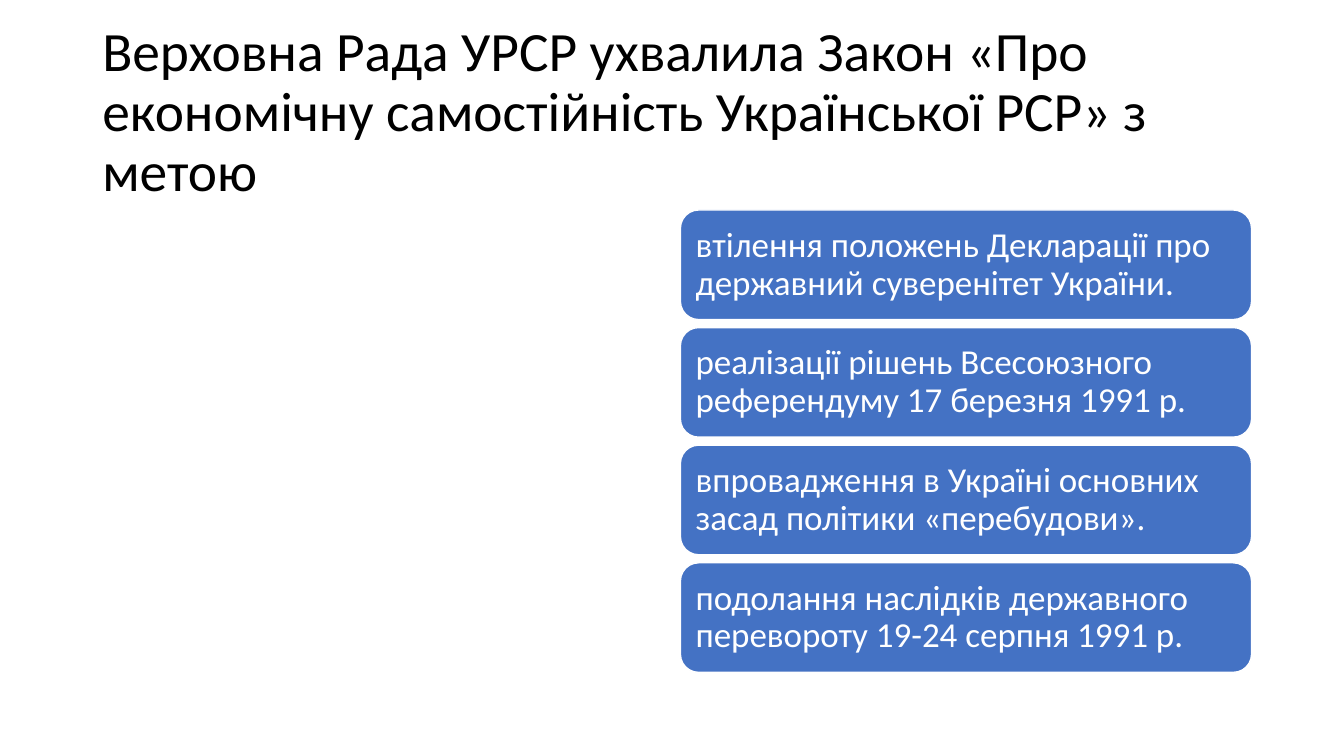
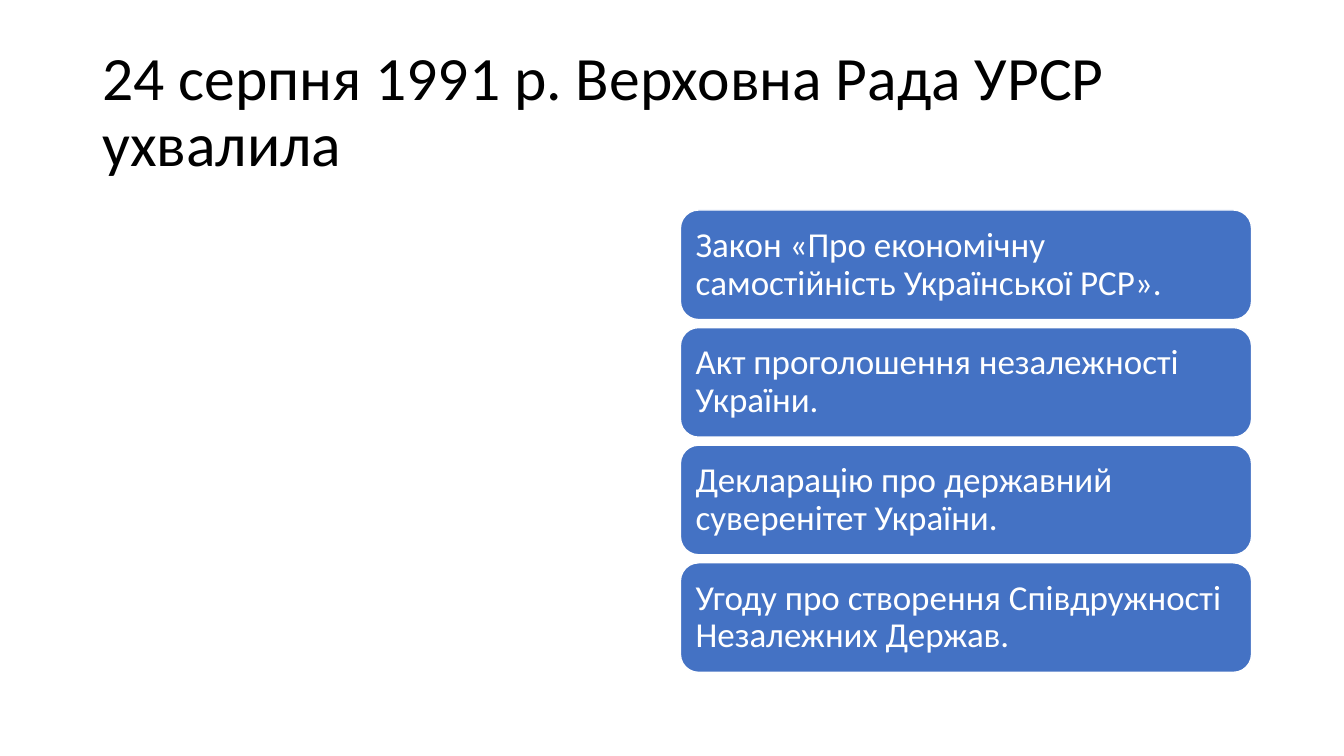
"""Builds two slides, each with a title and a column of answer cards."""
from pptx import Presentation
from pptx.dml.color import RGBColor
from pptx.enum.shapes import MSO_SHAPE
from pptx.enum.text import MSO_ANCHOR, PP_ALIGN
from pptx.util import Pt

SLIDES = [
    {
        "title": "Верховна Рада УРСР ухвалила Закон «Про економічну самостійність Української РСР» з метою",
        "title_size": 39.6,
        "answers": [
            "втілення положень Декларації про державний суверенітет України.",
            "реалізації рішень Всесоюзного референдуму 17 березня 1991 р.",
            "впровадження в Україні основних засад політики «перебудови».",
            "подолання наслідків державного перевороту 19-24 серпня 1991 р.",
        ],
    },
    {
        "title": "24 серпня 1991 р. Верховна Рада УРСР ухвалила",
        "title_size": 44,
        "answers": [
            "Закон «Про економічну самостійність Української РСР».",
            "Акт проголошення незалежності України.",
            "Декларацію про державний суверенітет України.",
            "Угоду про створення Співдружності Незалежних Держав.",
        ],
    },
]

FONT = "Calibri"
BLACK, WHITE, BLUE = "000000", "FFFFFF", "4472C4"
TITLE_BOX = (66, 28.75, 828, 104.4)
CARD_LEFT, CARD_TOP, CARD_WIDTH, CARD_HEIGHT = 486, 150, 408, 78.3
CARD_PITCH = 84
ANSWER_SIZE = 25


def color(value):
    return RGBColor.from_string(value)


def write(shape, text, size, text_color):
    frame = shape.text_frame
    frame.text = text
    frame.word_wrap = True
    frame.vertical_anchor = MSO_ANCHOR.MIDDLE
    paragraph = frame.paragraphs[0]
    paragraph.alignment = PP_ALIGN.LEFT
    paragraph.line_spacing = 0.9
    font = paragraph.runs[0].font
    font.name = FONT
    font.size = Pt(size)
    font.color.rgb = color(text_color)
    return frame


def add_title(slide, text, size):
    title = slide.shapes.add_textbox(*map(Pt, TITLE_BOX))
    write(title, text, size, BLACK)


def add_card(slide, row, answer):
    box = (CARD_LEFT, CARD_TOP + row * CARD_PITCH, CARD_WIDTH, CARD_HEIGHT)
    card = slide.shapes.add_shape(MSO_SHAPE.ROUNDED_RECTANGLE, *map(Pt, box))
    card.shadow.inherit = False
    card.fill.solid()
    card.fill.fore_color.rgb = color(BLUE)
    card.line.color.rgb = color(WHITE)
    card.line.width = Pt(1)
    frame = write(card, answer, ANSWER_SIZE, WHITE)
    frame.margin_left = frame.margin_right = Pt(7.2)
    frame.margin_top = frame.margin_bottom = Pt(7.2)


def main():
    deck = Presentation()
    deck.slide_width, deck.slide_height = Pt(960), Pt(540)
    for content in SLIDES:
        slide = deck.slides.add_slide(deck.slide_layouts[6])
        add_title(slide, content["title"], content["title_size"])
        for row, answer in enumerate(content["answers"]):
            add_card(slide, row, answer)
    deck.save("out.pptx")


if __name__ == "__main__":
    main()
